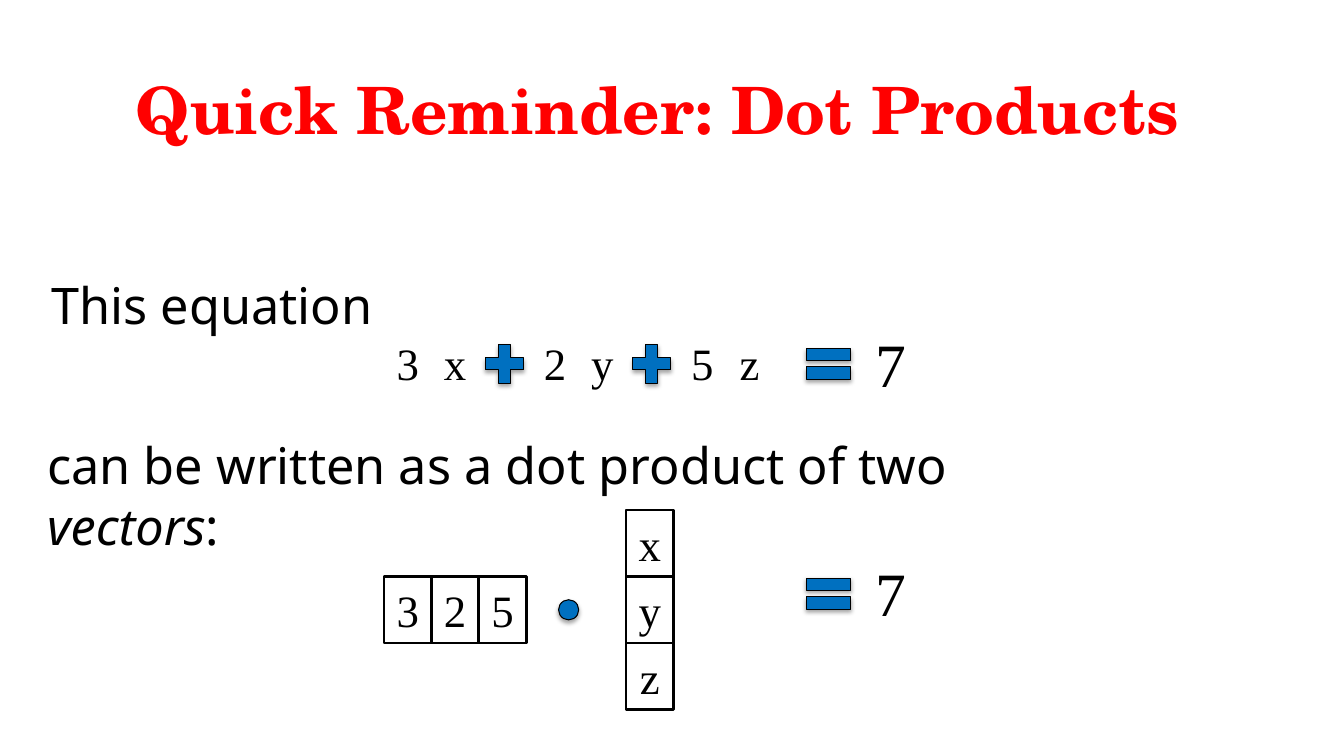
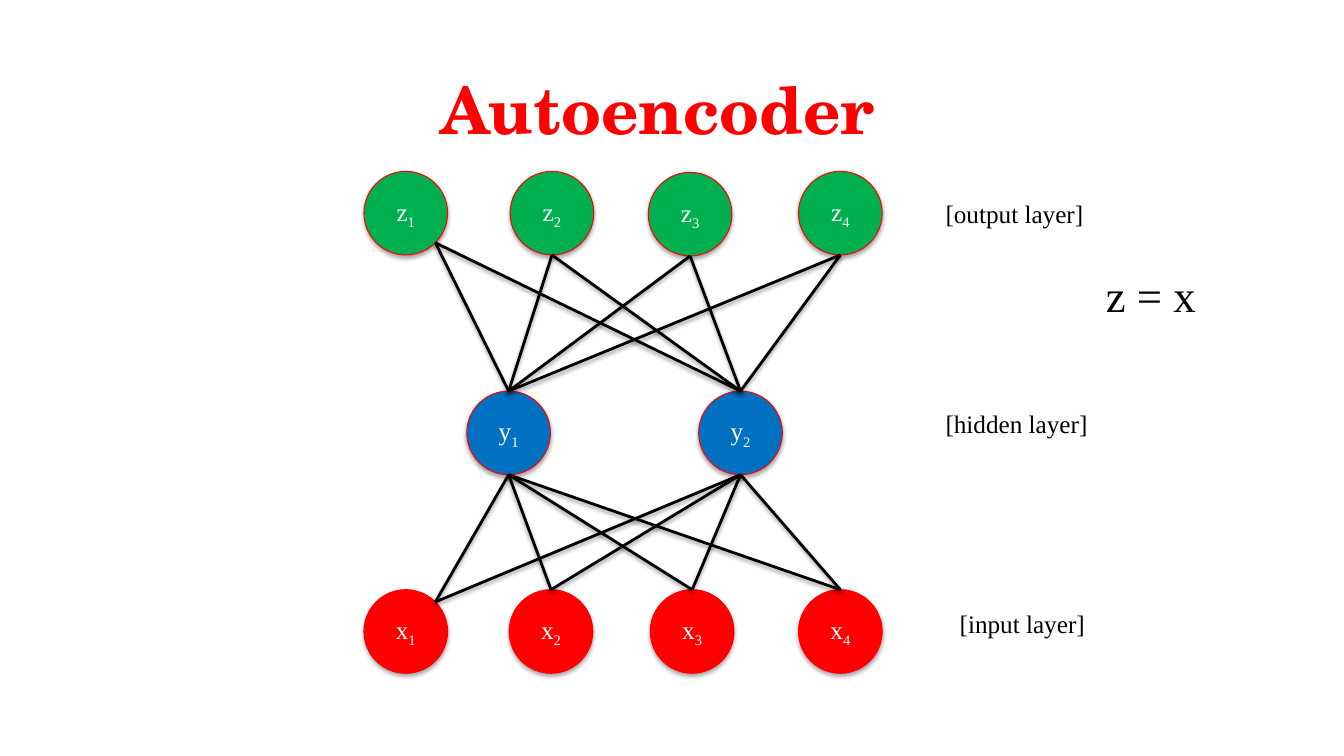
"""Two slides: a dot product reminder and an autoencoder diagram."""
from math import cos, pi
from lxml import etree
from pptx import Presentation
from pptx.dml.color import RGBColor
from pptx.enum import shapes, text
from pptx.oxml import ns
from pptx.util import Inches, Pt

BLACK = RGBColor(0x00, 0x00, 0x00)
WHITE = RGBColor(0xFF, 0xFF, 0xFF)
RED = RGBColor(0xFF, 0x00, 0x00)
BLUE = RGBColor(0x00, 0x70, 0xC0)
GREEN = RGBColor(0x00, 0xB0, 0x50)
SERIF, SANS, DISPLAY = "Times New Roman", "Noto Sans", "TeX Gyre Schola"
SHAPE = shapes.MSO_SHAPE

COEFFICIENTS, VARIABLES, RESULT = "325", "xyz", "7"
INTRO = [("This equation", False)]
CONCLUSION = [("can be written as a dot product of two ", False), ("vectors", True), (":", False)]
CELL_W, CELL_H = 0.47, 0.66
EQUATION_X, EQUATION_Y, TERM_STEP = 3.81, 3.27, 1.46
VECTOR_Y, COLUMN_X = 5.72, 6.21

NODE = 0.83
LAYERS = {
    "z": (GREEN, [(3.61, 1.7), (5.06, 1.7), (6.43, 1.71), (7.92, 1.7)]),
    "y": (BLUE, [(4.63, 3.88), (6.93, 3.88)]),
    "x": (RED, [(3.61, 5.85), (5.05, 5.85), (6.45, 5.85), (7.92, 5.85)]),
}
LABELS = [("[output layer]", 9.28, 1.92), ("[hidden layer]", 9.28, 4), ("[input layer]", 9.42, 5.99)]


def add_shadow(sp, alpha, distance):
    sp_pr = sp._element.spPr
    effects = sp_pr.find(ns.qn("a:effectLst"))
    if effects is None:
        effects = etree.SubElement(sp_pr, ns.qn("a:effectLst"))
    outer = etree.SubElement(effects, ns.qn("a:outerShdw"), blurRad=str(Pt(3.1)),
                             dist=str(Pt(distance)), dir="5400000", rotWithShape="0")
    color = etree.SubElement(outer, ns.qn("a:srgbClr"), val=str(BLACK))
    etree.SubElement(color, ns.qn("a:alpha"), val=str(alpha * 1000))


def style(p, size, font=SERIF, color=BLACK, align=text.PP_ALIGN.CENTER):
    p.alignment = align
    p.font.size, p.font.name = Pt(size), font
    p.font.color.rgb = color


def add_text(s, runs, box, size, font=SERIF, color=BLACK, align=text.PP_ALIGN.LEFT):
    tf = s.shapes.add_textbox(*map(Inches, box)).text_frame
    tf.word_wrap = True
    p = tf.paragraphs[0]
    for words, italic in runs:
        r = p.add_run()
        r.text = words
        if italic:
            r.font.italic = True
    style(p, size, font, color, align)
    return tf


def add_shape(s, kind, box, fill, line=None, width=0.75, shadow=False):
    sp = s.shapes.add_shape(kind, *map(Inches, box))
    sp.fill.solid()
    sp.fill.fore_color.rgb = fill
    if line is None:
        sp.line.fill.background()
    else:
        sp.line.color.rgb, sp.line.width = line, Pt(width)
    sp.shadow.inherit = False
    if shadow:
        add_shadow(sp, 35, 1.8)
    return sp


def add_cell(s, symbol, x, y, line=None):
    sp = add_shape(s, SHAPE.RECTANGLE, (x, y, CELL_W, CELL_H), WHITE, line, 2)
    p = sp.text_frame.paragraphs[0]
    p.text = symbol
    style(p, 32)


def add_operator(s, kind, x, y, w, h):
    add_shape(s, kind, (x, y, w, h), BLUE, BLACK, shadow=True)


def add_node(s, letter, index, x, y, fill):
    sp = add_shape(s, SHAPE.OVAL, (x, y, NODE, NODE), fill, RED, shadow=True)
    p = sp.text_frame.paragraphs[0]
    p.add_run().text = letter
    r = p.add_run()
    r.text = str(index)
    r.font._element.set("baseline", "-25000")
    style(p, 18, color=WHITE)


def add_edge(s, start, end):
    line = s.shapes.add_connector(shapes.MSO_CONNECTOR.STRAIGHT, *map(Inches, start + end))
    line.line.color.rgb, line.line.width = BLACK, Pt(2)
    add_shadow(line, 38, 1.6)


def edge_point(corner, direction, diagonal=False):
    """Point on a node's rim, below (1) or above (-1) its centre."""
    radius = NODE / 2
    dx, dy = (radius * cos(pi / 4),) * 2 if diagonal else (0, radius)
    return corner[0] + radius + dx, corner[1] + radius + direction * dy


def add_slide(prs, title):
    s = prs.slides.add_slide(prs.slide_layouts[6])
    tf = add_text(s, [(title, False)], (0.37, 0.57, 12.3, 1.02), 46.6, DISPLAY, RED,
                  text.PP_ALIGN.CENTER)
    tf.vertical_anchor = text.MSO_ANCHOR.MIDDLE
    tf.paragraphs[0].font.bold = True
    return s


def dot_products(prs):
    s = add_slide(prs, "Quick Reminder: Dot Products")
    add_text(s, INTRO, (0.41, 2.67, 4.38, 0.71), 36, SANS)
    add_text(s, CONCLUSION, (0.37, 4.26, 10.9, 1.31), 36, SANS)
    for i, (coefficient, variable) in enumerate(zip(COEFFICIENTS, VARIABLES)):
        x = EQUATION_X + i * TERM_STEP
        add_cell(s, coefficient, x, EQUATION_Y)
        add_cell(s, variable, x + CELL_W, EQUATION_Y)
        if i < len(VARIABLES) - 1:
            add_operator(s, SHAPE.MATH_PLUS, x + 2 * CELL_W, 3.35, 0.51, 0.52)
        add_cell(s, coefficient, EQUATION_X + i * CELL_W, VECTOR_Y, BLACK)
        add_cell(s, variable, COLUMN_X, VECTOR_Y + (i - 1) * CELL_H, BLACK)
    add_operator(s, SHAPE.OVAL, 5.54, 5.95, 0.2, 0.2)
    for y in (3.35, 5.63):
        add_operator(s, SHAPE.MATH_EQUAL, 7.92, y, 0.6, 0.52)
        add_text(s, [(RESULT, False)], (8.58, y - 0.17, 0.91, 0.84), 44)


def autoencoder(prs):
    s = add_slide(prs, "Autoencoder")
    for letter, (fill, corners) in LAYERS.items():
        for i, (x, y) in enumerate(corners, 1):
            add_node(s, letter, i, x, y, fill)
    for letter, direction in (("z", 1), ("x", -1)):
        for i, outer in enumerate(LAYERS[letter][1]):
            for hidden in LAYERS["y"][1]:
                add_edge(s, edge_point(hidden, -direction), edge_point(outer, direction, i == 0))
    for label, x, y in LABELS:
        add_text(s, [(label, False)], (x, y, 1.8, 0.4), 18)
    add_text(s, [("z = x", False)], (10.87, 2.61, 1.88, 0.64), 32)


def main():
    prs = Presentation()
    prs.slide_width, prs.slide_height = Inches(13.33), Inches(7.5)
    dot_products(prs)
    autoencoder(prs)
    prs.save("out.pptx")


if __name__ == "__main__":
    main()
